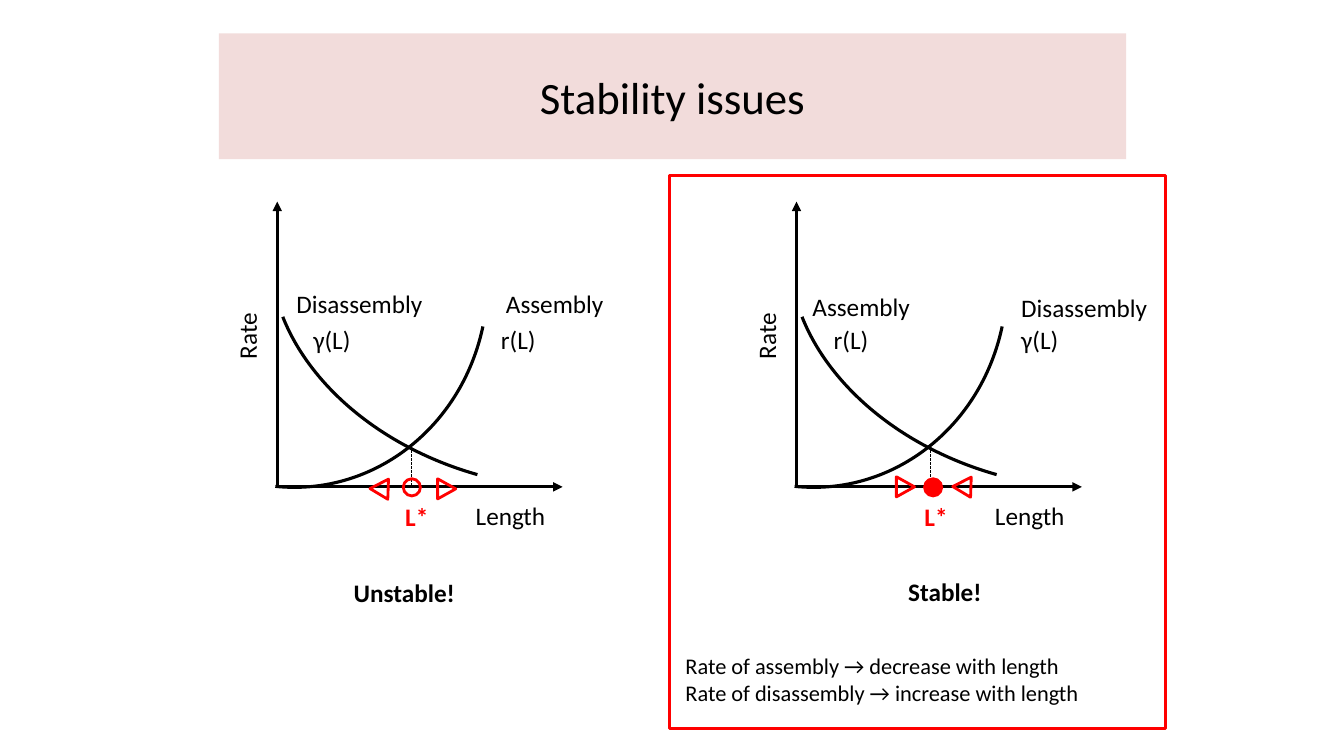
from dataclasses import dataclass

from lxml.etree import SubElement
from pptx import Presentation
from pptx.dml.color import RGBColor
from pptx.enum.dml import MSO_LINE
from pptx.enum.shapes import MSO_CONNECTOR, MSO_SHAPE
from pptx.enum.text import MSO_ANCHOR, MSO_AUTO_SIZE, PP_ALIGN
from pptx.oxml.ns import qn
from pptx.util import Inches, Pt


@dataclass(frozen=True)
class Theme:
    """Colours, font, type sizes and line widths of the slide."""
    font: str = "Calibri"
    ink: RGBColor = RGBColor(0, 0, 0)
    accent: RGBColor = RGBColor(255, 0, 0)
    banner: RGBColor = RGBColor(0xF2, 0xDC, 0xDB)
    title: int = 32
    label: int = 18
    note: int = 16
    curve: float = 2.25
    marker: float = 2
    guide: float = 0.75


@dataclass(frozen=True)
class Case:
    """What differs between the two rate diagrams, with offsets from the axis."""
    labels: tuple
    arrows: tuple
    marker_x: float
    filled: bool
    verdict: tuple


THEME = Theme()
UNSTABLE = Case(
    labels=(("Disassembly", 0.09, 0.81, 1.52), ("γ(L)", 0.26, 1.17, 0.58),
            ("Assembly", 2.17, 0.81, 1.23), ("r(L)", 2.12, 1.17, 0.55)),
    arrows=((0.91, 2.76, 272), (1.58, 2.76, 90)),
    marker_x=1.25, filled=False, verdict=("Unstable!", 0.66, 3.68, 1.21))
STABLE = Case(
    labels=(("Assembly", 0.06, 0.84, 1.23), ("r(L)", 0.27, 1.17, 0.55),
            ("Disassembly", 2.13, 0.85, 1.52), ("γ(L)", 2.13, 1.17, 0.58)),
    arrows=((0.98, 2.74, 90), (1.54, 2.74, 272)),
    marker_x=1.27, filled=True, verdict=("Stable!", 1.01, 3.67, 0.94))


def style_paragraph(p, size, color=THEME.ink, bold=False):
    """Set the font of a whole paragraph."""
    p.font.name, p.font.size, p.font.bold = THEME.font, Pt(size), bold
    p.font.color.rgb = color


def add_text(s, lines, x, y, w, h=0.4, size=THEME.label, color=THEME.ink, bold=False):
    """Add an unwrapped text box with one paragraph per line."""
    box = s.shapes.add_textbox(Inches(x), Inches(y), Inches(w), Inches(h))
    tf = box.text_frame
    tf.word_wrap, tf.auto_size = False, MSO_AUTO_SIZE.SHAPE_TO_FIT_TEXT
    tf.text = "\n".join(lines)
    for p in tf.paragraphs:
        style_paragraph(p, size, color, bold)
    return box


def add_outline(s, kind, x, y, w, h, color=THEME.accent, width=THEME.marker, rotation=0):
    """Add an unfilled preset shape with a plain outline."""
    sp = s.shapes.add_shape(kind, Inches(x), Inches(y), Inches(w), Inches(h))
    sp.shadow.inherit = False
    sp.fill.background()
    sp.line.color.rgb, sp.line.width = color, Pt(width)
    sp.rotation = rotation
    return sp


def add_arc(s, x, y, w, h, rotation, angles):
    """Add a rate curve as an arc between two adjustment values."""
    sp = add_outline(s, MSO_SHAPE.ARC, x, y, w, h, THEME.ink, THEME.curve, rotation)
    sp.adjustments[0], sp.adjustments[1] = angles


def add_line(s, x1, y1, x2, y2, width, arrow=False):
    """Add a straight line, with an arrowhead or else dashed."""
    line = s.shapes.add_connector(
        MSO_CONNECTOR.STRAIGHT, Inches(x1), Inches(y1), Inches(x2), Inches(y2))
    line.line.color.rgb, line.line.width = THEME.ink, Pt(width)
    if arrow:
        SubElement(line.line._get_or_add_ln(), qn("a:tailEnd"), type="triangle")
    else:
        line.line.dash_style = MSO_LINE.SQUARE_DOT
    SubElement(line._element.spPr, qn("a:effectLst"))


def add_title(s, text, x, y, w, h):
    """Turn the title placeholder into the banner."""
    title = s.shapes.title
    title.left, title.top, title.width, title.height = map(Inches, (x, y, w, h))
    title.fill.solid()
    title.fill.fore_color.rgb = THEME.banner
    tf = title.text_frame
    tf.text, tf.vertical_anchor = text, MSO_ANCHOR.MIDDLE
    p = tf.paragraphs[0]
    p.alignment = PP_ALIGN.CENTER
    style_paragraph(p, THEME.title)


def add_diagram(s, x, y, case):
    """Draw axes, curves, fixed point and labels from the top of the rate axis."""
    size = 2.83
    base = y + size
    add_line(s, x, base, x, y, THEME.curve, arrow=True)
    add_line(s, x, base, x + size, base, THEME.curve, arrow=True)
    add_arc(s, x - 0.11, y - 1.07, 5.23, 3.85, 195.7, (162, 202.559))
    add_arc(s, x - 1.87, y - 1.12, 4.08, 3.83, 90, (170.014, 3.2))
    add_line(s, x + 1.33, base - 0.41, x + 1.33, base, THEME.guide)

    dot = add_outline(s, MSO_SHAPE.OVAL, x + case.marker_x, y + 2.75, 0.17, 0.17)
    if case.filled:
        dot.fill.solid()
        dot.fill.fore_color.rgb = THEME.accent
    for dx, dy, rotation in case.arrows:
        add_outline(s, MSO_SHAPE.ISOSCELES_TRIANGLE, x + dx, y + dy, 0.2, 0.18,
                    rotation=rotation)

    for text, dx, dy, w in case.labels + (("Length", 1.87, 2.91, 0.9),):
        add_text(s, [text], x + dx, y + dy, w)
    add_text(s, ["Rate"], x - 0.63, y + 1.13, 0.66).rotation = 270
    add_text(s, ["L*"], x + 1.17, y + 2.92, 0.44, color=THEME.accent, bold=True)
    text, dx, dy, w = case.verdict
    add_text(s, [text], x + dx, y + dy, w, bold=True)


def add_stable_frame(s, x, y, w, h):
    """Frame the stable case and state its condition at the foot."""
    add_text(s, ["Rate of assembly → decrease with length",
                 "Rate of disassembly → increase with length"],
             x + 0.06, y + 4.68, 4.15, 0.64, THEME.note)
    add_outline(s, MSO_SHAPE.RECTANGLE, x, y, w, h)


def main():
    """Build the slide and save it."""
    prs = Presentation()
    prs.slide_width, prs.slide_height = Inches(13.33), Inches(7.5)
    s = prs.slides.add_slide(prs.slide_layouts[5])
    add_title(s, "Stability issues", 2.17, 0.33, 9, 1.25)
    add_diagram(s, 2.75, 2, UNSTABLE)
    add_diagram(s, 7.9, 2, STABLE)
    add_stable_frame(s, 6.64, 1.74, 4.92, 5.49)
    prs.save("out.pptx")


if __name__ == "__main__":
    main()
